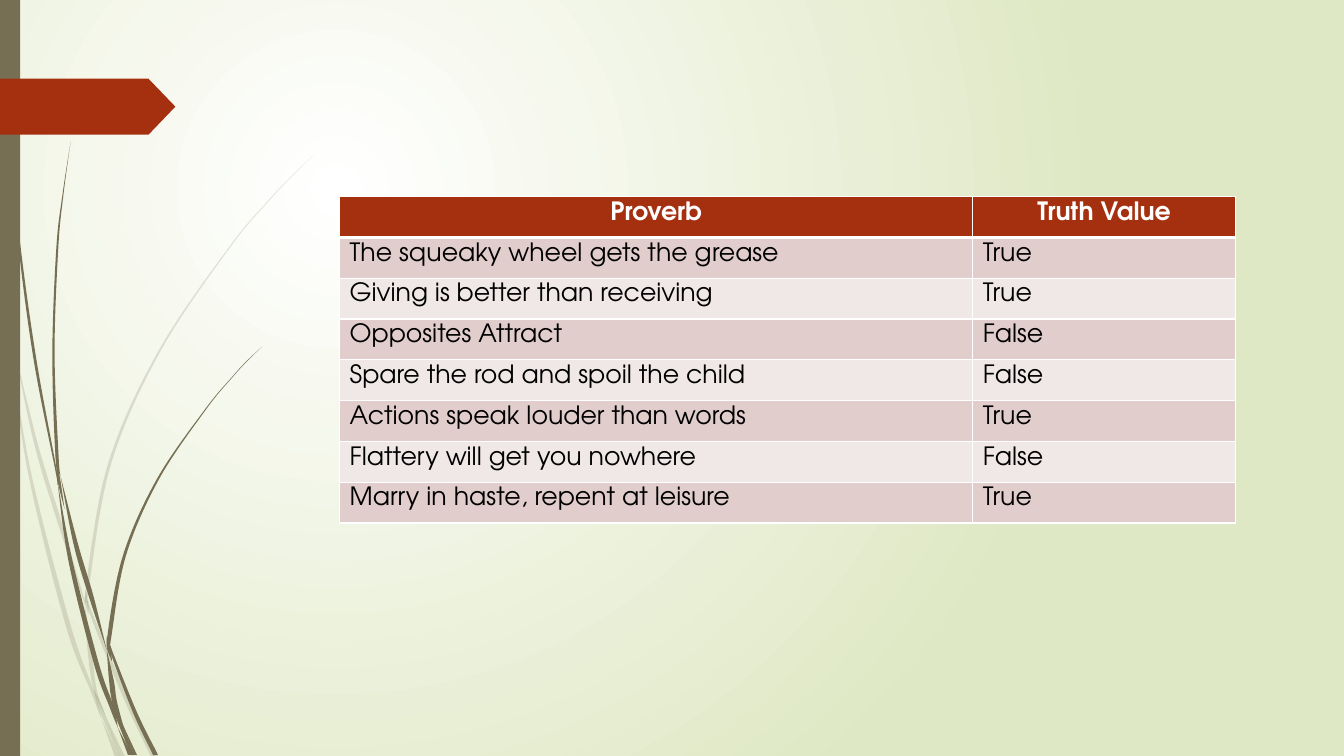
from lxml.etree import SubElement
from pptx import Presentation
from pptx.dml.color import RGBColor
from pptx.enum.shapes import MSO_SHAPE
from pptx.enum.text import MSO_ANCHOR, PP_ALIGN
from pptx.oxml.ns import qn
from pptx.util import Pt

HEADINGS = ("Proverb", "Truth Value")
PROVERBS = [
    ("The squeaky wheel gets the grease", "True"),
    ("Giving is better than receiving", "True"),
    ("Opposites Attract", "False"),
    ("Spare the rod and spoil the child", "False"),
    ("Actions speak louder than words", "True"),
    ("Flattery will get you nowhere", "False"),
    ("Marry in haste, repent at leisure", "True"),
]
FONT = "TeX Gyre Adventor"
OLIVE, RUST, WHITE, BLACK = "766F54", "A53010", "FFFFFF", "000000"
BACKGROUND = (WHITE, "DFE8C4")
BANDS = ("E1CDCC", "F0E8E7")

SLIDE_WIDTH, SLIDE_HEIGHT = 960, 540
TABLE_LEFT, TABLE_TOP = 242.6, 140.4
COLUMN_WIDTHS = (452.2, 187.9)
ROW_HEIGHT = 29.16

# Each piece of grass is a spine of (x, y, blade width)
PALE_GRASS = [
    [(0, 209, 1), (7.9, 252, 0)],
    [(10.1, 248.4, 0), (25.7, 317, 2.6), (43.2, 375.1, 2.9), (60.8, 431.3, 0.7)],
    [(63.4, 429.1, 0), (65, 438, 2), (90, 499, 3.2), (109.8, 540.7, 3.6)],
    [(75.6, 511.9, 0), (87.5, 540.7, 3.6)],
    [(7.9, 252, 0), (21.2, 338, 2.2), (48.6, 446.4, 3.6), (66.6, 495.4, 2.2),
     (72.7, 514.1, 0)],
    [(60.5, 431.3, 0), (64.1, 465.1, 2.9), (68, 493, 2.2), (75.6, 511.9, 0)],
    [(224.6, 110.2, 0), (208.4, 126, 0.5), (193, 142.2, 0.7), (164.5, 176, 0.9),
     (113.8, 251, 1.6), (78.1, 332, 2.2), (62.3, 420.5, 2.2), (63.4, 429.1, 0)],
    [(72.7, 514.1, 0), (83.9, 540.7, 3.6)],
    [(61.2, 421.9, 0), (62, 431, 2.2), (63.4, 439.2, 0)],
    [(67, 491.8, 0), (72.7, 508, 3), (85.7, 540.7, 0)],
]
DARK_GRASS = [
    [(2.5, 0, 0.7), (3.3, 34.6, 0.7), (5.4, 79, 0.8), (13, 167.6, 1.4),
     (24.8, 255.6, 2), (40, 336, 1), (41, 346.3, 0)],
    [(43.2, 339.8, 0), (54.2, 388.8, 3.2), (65, 425.5, 3.4), (76.3, 464.4, 0)],
    [(79.2, 461.5, 0), (80.5, 468, 1.8), (96.5, 509, 2.9), (111.2, 539.3, 3.6)],
    [(41, 343.4, 0), (50.4, 400.7, 2.9), (68.8, 473.8, 3.6), (79.8, 505, 3),
     (84.2, 519.8, 0)],
    [(50.4, 101.5, 0), (45, 139, 0.7), (41, 176.4, 1.4), (38.2, 251.3, 1.6),
     (40.7, 324.7, 2.2), (43.2, 339.8, 0)],
    [(87.8, 517.7, 0), (96.8, 539.3, 2.2)],
    [(39.6, 323.3, 0), (42.2, 343.4, 2), (46.1, 363.6, 0)],
    [(187.2, 247.7, 0), (176.4, 258, 0.5), (166.3, 269, 0.5), (147.2, 292, 0.8),
     (113, 342, 1.6), (88.9, 397, 2.2), (78.1, 455, 2.9), (79.2, 461.5, 0)],
    [(84.2, 519.8, 0), (92.9, 539.3, 2.9)],
    [(76.3, 464.4, 0), (79.7, 486.7, 3.4), (81.7, 500, 3.2), (87.8, 517.7, 0)],
    [(76.3, 454.3, 0), (77.8, 463, 2.9), (79.9, 472.3, 0)],
    [(79.2, 497.5, 0), (84.6, 513, 3), (94.7, 539.3, 2.2)],
]


def colour(value):
    return RGBColor.from_string(value)


def paint(shape, fill):
    shape.shadow.inherit = False
    shape.fill.solid()
    shape.fill.fore_color.rgb = colour(fill)
    shape.line.fill.background()


def round_edge(steps):
    """Turn the straight steps along one edge into Bezier curves."""
    spots = [(int(pt.get("x")), int(pt.get("y")))
             for pt in (step.find(qn("a:pt")) for step in steps)]
    padded = [spots[0], *spots, spots[-1]]
    for step, a, b, c, d in zip(steps[1:], padded, padded[1:], padded[2:], padded[3:]):
        controls = ([q + (r - p) / 6 for p, q, r in zip(a, b, c)],
                    [r - (s - q) / 6 for q, r, s in zip(b, c, d)])
        step.tag = qn("a:cubicBezTo")
        for index, (x, y) in enumerate(controls):
            control = SubElement(step, qn("a:pt"), x=str(round(x)), y=str(round(y)))
            step.insert(index, control)


def add_grass(page, spine, opacity):
    left = [(Pt(x - width / 2), Pt(y)) for x, y, width in spine]
    right = [(Pt(x + width / 2), Pt(y)) for x, y, width in reversed(spine)]
    builder = page.shapes.build_freeform(*left[0])
    builder.add_line_segments(left[1:] + right, close=True)
    grass = builder.convert_to_shape()
    paint(grass, OLIVE)
    steps = list(grass.element.find(".//" + qn("a:path")))[:-1]
    round_edge(steps[:len(spine)])
    round_edge(steps[len(spine):])
    if opacity < 100:
        tint = grass.element.spPr.find(qn("a:solidFill")).find(qn("a:srgbClr"))
        SubElement(tint, qn("a:alpha"), val=str(opacity * 1000))


def paint_background(page):
    fill = page.background.fill
    fill.gradient()
    for position, (stop, value) in enumerate(zip(fill.gradient_stops, BACKGROUND)):
        stop.color.rgb = colour(value)
        stop.position = position
    linear = page.element.find(".//" + qn("a:lin"))
    gradient = linear.getparent()
    gradient.remove(linear)
    circle = SubElement(gradient, qn("a:path"), path="circle")
    SubElement(circle, qn("a:fillToRect"),
               l="50000", t="50000", r="100000", b="100000")


def add_borders(cell, top, bottom):
    properties = cell._tc.get_or_add_tcPr()
    for side, width in (("L", 1), ("R", 1), ("T", top), ("B", bottom)):
        line = SubElement(properties, qn("a:ln" + side), w=str(Pt(width)))
        solid = SubElement(line, qn("a:solidFill"))
        SubElement(solid, qn("a:srgbClr"), val=WHITE)


def fill_cell(cell, text, row):
    header = row == 0
    add_borders(cell, top=3 if row == 1 else 1, bottom=3 if header else 1)
    cell.fill.solid()
    cell.fill.fore_color.rgb = colour(RUST if header else BANDS[(row - 1) % 2])
    cell.margin_top = cell.margin_bottom = Pt(3.6)
    cell.margin_left = cell.margin_right = Pt(7.2)
    cell.vertical_anchor = MSO_ANCHOR.TOP
    cell.text_frame.text = text
    para = cell.text_frame.paragraphs[0]
    para.alignment = PP_ALIGN.CENTER if header else PP_ALIGN.LEFT
    font = para.runs[0].font
    font.name, font.size, font.bold = FONT, Pt(18), header
    font.color.rgb = colour(WHITE if header else BLACK)


def add_proverb_table(page):
    rows = [HEADINGS, *PROVERBS]
    table = page.shapes.add_table(
        len(rows), len(HEADINGS), Pt(TABLE_LEFT), Pt(TABLE_TOP),
        Pt(sum(COLUMN_WIDTHS)), Pt(ROW_HEIGHT * len(rows))).table
    for column, width in zip(table.columns, COLUMN_WIDTHS):
        column.width = Pt(width)
    for row, texts in enumerate(rows):
        table.rows[row].height = Pt(ROW_HEIGHT)
        for column, text in enumerate(texts):
            fill_cell(table.cell(row, column), text, row)


def main():
    deck = Presentation()
    deck.slide_width, deck.slide_height = Pt(SLIDE_WIDTH), Pt(SLIDE_HEIGHT)
    page = deck.slides.add_slide(deck.slide_layouts[6])
    paint_background(page)
    for spines, opacity in ((PALE_GRASS, 20), (DARK_GRASS, 100)):
        for spine in spines:
            add_grass(page, spine, opacity)
    side_bar = page.shapes.add_shape(
        MSO_SHAPE.RECTANGLE, 0, 0, Pt(14.4), Pt(SLIDE_HEIGHT))
    paint(side_bar, OLIVE)
    arrow_tab = page.shapes.add_shape(
        MSO_SHAPE.PENTAGON, 0, Pt(56.2), Pt(125.3), Pt(40))
    arrow_tab.adjustments[0] = 0.48
    paint(arrow_tab, RUST)
    add_proverb_table(page)
    deck.save("out.pptx")


if __name__ == "__main__":
    main()
